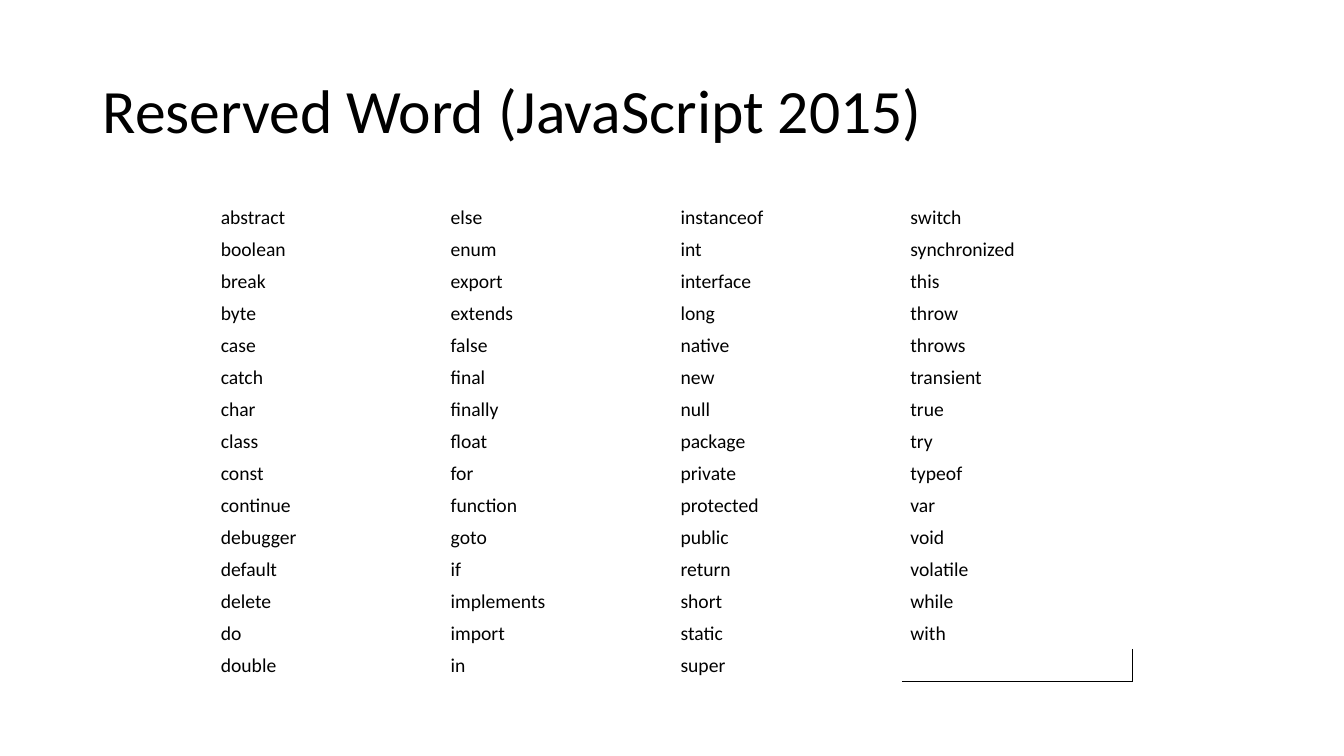
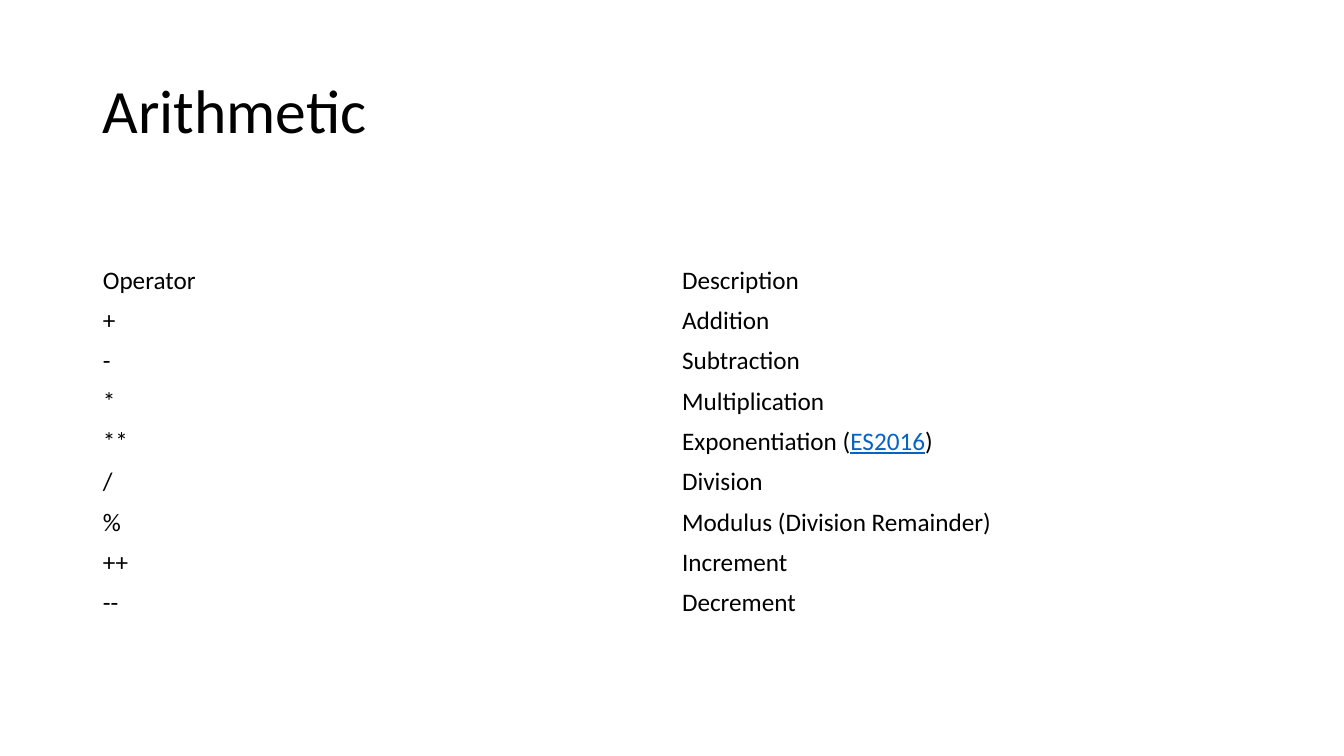
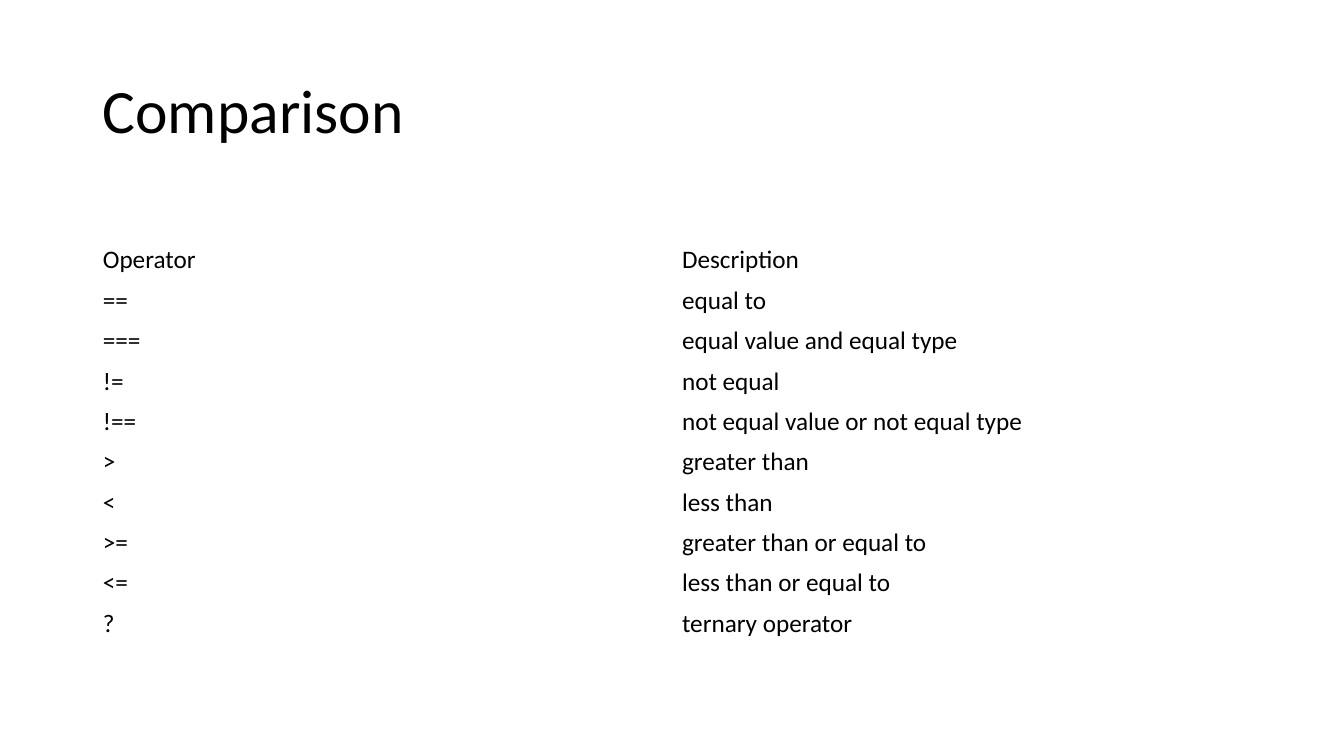
"""Builds three JavaScript reference slides: reserved words, arithmetic and comparison operators."""
from itertools import zip_longest

from lxml.etree import SubElement
from pptx import Presentation
from pptx.dml.color import RGBColor as RGB
from pptx.enum.text import MSO_ANCHOR as ANCHOR
from pptx.oxml.ns import qn
from pptx.util import Inches, Pt

COLORS = {"text": "000000", "link": "0563C1"}
FONT = "Calibri"
W, H = 13.33, 7.5
MARGIN = 0.92
CONTENT_W = W - 2 * MARGIN

prs = Presentation()
prs.slide_width, prs.slide_height = Inches(W), Inches(H)


def style(p, size):
    p.font.name = FONT
    p.font.size = Pt(size)
    p.font.color.rgb = RGB.from_string(COLORS["text"])


def add_table_slide(title, rows, left, top, width, row_h, size, pad_x, pad_y):
    s = prs.slides.add_slide(prs.slide_layouts[6])
    sp = s.shapes.add_textbox(Inches(MARGIN), Inches(0.4), Inches(CONTENT_W), Inches(1.45))
    tf = sp.text_frame
    tf.word_wrap = True
    tf.vertical_anchor = ANCHOR.MIDDLE
    p = tf.paragraphs[0]
    p.text = title
    p.line_spacing = 0.9
    style(p, 44)

    tbl = s.shapes.add_table(len(rows), len(rows[0]), Inches(left), Inches(top),
                             Inches(width), Inches(row_h * len(rows))).table
    tbl.first_row = tbl.horz_banding = False
    for r, row in enumerate(rows):
        for c, text in enumerate(row):
            cell = tbl.cell(r, c)
            cell.fill.background()
            cell.vertical_anchor = ANCHOR.MIDDLE
            cell.margin_left = cell.margin_right = Inches(pad_x)
            cell.margin_top = cell.margin_bottom = Inches(pad_y)
            p = cell.text_frame.paragraphs[0]
            p.text = text
            style(p, size)
    return tbl


word_columns = [
    "abstract boolean break byte case catch char class const continue debugger default delete do double",
    "else enum export extends false final finally float for function goto if implements import in",
    "instanceof int interface long native new null package private protected public return short static super",
    "switch synchronized this throw throws transient true try typeof var void volatile while with",
]
words = list(zip_longest(*[col.split() for col in word_columns], fillvalue=""))
tbl = add_table_slide("Reserved Word (JavaScript 2015)", words, 2.11, 2, 9.12,
                      4.76 / len(words), 14, 0.08, 0.04)
last = tbl.cell(len(words) - 1, len(word_columns) - 1)
tcPr = last._tc.get_or_add_tcPr()
for i, side in enumerate(("lnR", "lnB")):
    ln = SubElement(tcPr, qn(f"a:{side}"), w=str(Pt(0.75)))
    SubElement(SubElement(ln, qn("a:solidFill")), qn("a:srgbClr"), val=COLORS["text"])
    tcPr.insert(i, ln)

header = ("Operator", "Description")
arithmetic = [
    header,
    ("+", "Addition"),
    ("-", "Subtraction"),
    ("*", "Multiplication"),
    ("**", "Exponentiation ("),
    ("/", "Division"),
    ("%", "Modulus (Division Remainder)"),
    ("++", "Increment"),
    ("--", "Decrement"),
]
comparison = [
    header,
    ("==", "equal to"),
    ("===", "equal value and equal type"),
    ("!=", "not equal"),
    ("!==", "not equal value or not equal type"),
    (">", "greater than"),
    ("<", "less than"),
    (">=", "greater than or equal to"),
    ("<=", "less than or equal to"),
    ("?", "ternary operator"),
]
operators = {}
for title, rows, top in (("Arithmetic", arithmetic, 2.58), ("Comparison", comparison, 2.38)):
    operators[title] = add_table_slide(title, rows, MARGIN, top, CONTENT_W, 0.4, 18, 0.1, 0.05)

p = operators["Arithmetic"].cell(4, 1).text_frame.paragraphs[0]
r = p.add_run()
r.text = "ES2016"
r.font.underline = True
r.font.color.rgb = RGB.from_string(COLORS["link"])
p.add_run().text = ")"

prs.save("out.pptx")
